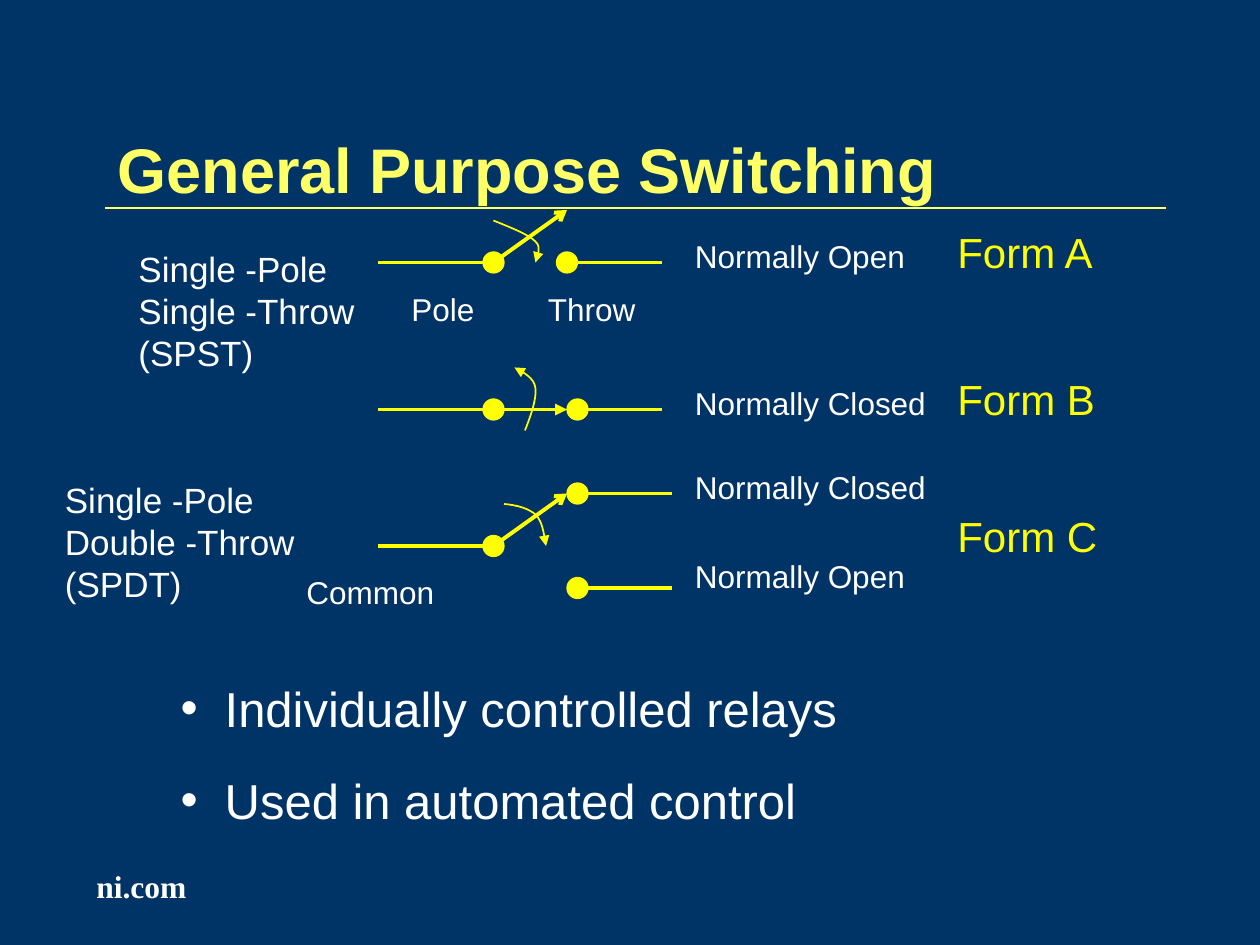
import pptx
import pptx.util
import pptx.dml.color
import pptx.enum.shapes
import pptx.enum.text
import pptx.oxml
import pptx.oxml.ns

YELLOW, PALE, WHITE, NAVY = "FFFF00", "FFFF66", "FFFFFF", "003366"
COLS, ROWS = 120, 90
NS = pptx.oxml.ns.nsdecls("a")


def unit(n):
    return pptx.util.Emu(round(n * 914400 / 12))


def tint(code):
    return pptx.dml.color.RGBColor.from_string(code)


def node(xml):
    return pptx.oxml.parse_xml(xml)


def place(shape, box):
    shape.left, shape.top, shape.width, shape.height = map(unit, box)


def write(shape, words, size=18, color=WHITE, font="Arial", bold=False,
          shade=False, bullet=False, gap=0, wrap=True, anchor="TOP"):
    frame = shape.text_frame
    frame.word_wrap = wrap
    frame.auto_size = pptx.enum.text.MSO_AUTO_SIZE.NONE
    frame.vertical_anchor = getattr(pptx.enum.text.MSO_ANCHOR, anchor)
    for i, line in enumerate(words.split("\n")):
        para = frame.paragraphs[0] if i == 0 else frame.add_paragraph()
        para.alignment = pptx.enum.text.PP_ALIGN.LEFT
        para.space_before = pptx.util.Pt(gap if i else 0)
        if bullet:
            props = para._p.get_or_add_pPr()
            props.set("marL", str(unit(4.2)))
            props.set("indent", str(unit(-4.2)))
            props.append(node(f'<a:buClr {NS}><a:srgbClr val="{color}"/></a:buClr>'))
            props.append(node(f'<a:buChar {NS} char="•"/>'))
        run = para.add_run()
        run.text = line
        run.font.size = pptx.util.Pt(size)
        run.font.bold = bold
        run.font.color.rgb = tint(color)
        if shade:
            run._r.get_or_add_rPr().append(node(
                f'<a:effectLst {NS}><a:outerShdw dist="25400" dir="2700000">'
                '<a:srgbClr val="000000"/></a:outerShdw></a:effectLst>'))
        run.font.name = font


def label(slide, words, box, **style):
    shape = slide.shapes.add_textbox(*map(unit, box))
    write(shape, words, **style)


def stroke(shape, color, width, tip):
    shape.line.color.rgb = tint(color)
    shape.line.width = pptx.util.Pt(width)
    props = shape._element.spPr
    if tip:
        edge = props.find(pptx.oxml.ns.qn("a:ln"))
        edge.append(node(f'<a:tailEnd {NS} type="{tip}"/>'))
    props.append(node(f"<a:effectLst {NS}/>"))


def wire(slide, start, end, color=YELLOW, width=2.25, tip=None):
    kind = pptx.enum.shapes.MSO_CONNECTOR.STRAIGHT
    line = slide.shapes.add_connector(kind, *map(unit, start + end))
    stroke(line, color, width, tip)


def dot(slide, x, y):
    kind = pptx.enum.shapes.MSO_SHAPE.OVAL
    disc = slide.shapes.add_shape(kind, *map(unit, (x - 1, y - 1, 2, 2)))
    disc.shadow.inherit = False
    disc.fill.solid()
    disc.fill.fore_color.rgb = tint(YELLOW)
    disc.line.color.rgb = tint(YELLOW)
    disc.line.width = pptx.util.Pt(0.75)


def bend(a, b, c, d, steps=8):
    for i in range(1, steps + 1):
        t = i / steps
        s = 1 - t
        yield tuple(s**3 * p + 3 * s * s * t * q + 3 * s * t * t * r + t**3 * e
                    for p, q, r, e in zip(a, b, c, d))


def swing(slide, points):
    pen = slide.shapes.build_freeform(*map(unit, points[0]))
    track = [*bend(*points[:4]), *bend(*points[3:])]
    pen.add_line_segments([tuple(map(unit, p)) for p in track], close=False)
    curve = pen.convert_to_shape()
    curve.fill.background()
    stroke(curve, YELLOW, 1, "triangle")


def switch(slide, x, y, form, lift, tip, throws, arc):
    pole = (x + 11, y)
    wire(slide, (x, y), pole)
    wire(slide, pole, (x + 18, y - lift), tip=tip)
    dot(slide, *pole)
    for words, spot, start, drop, text in throws:
        wire(slide, (x + start, y + drop), (x + start + 9, y + drop))
        dot(slide, x + spot, y + drop)
        label(slide, words, (x + 29, y + text, 30, 4.8))
    swing(slide, [(x + dx, y + dy) for dx, dy in arc])
    label(slide, form, (x + 54, y - 4, 17, 6), size=24, color=YELLOW)


def heading(slide, box):
    left, top, width, height = box
    place(slide.shapes.title, box)
    write(slide.shapes.title, "General Purpose Switching", size=36, color=PALE,
          bold=True, shade=True, anchor="MIDDLE")
    base = top + height - 2.2
    wire(slide, (left, base), (left + width + 1, base), color=PALE, width=1)


def points(slide, box):
    body = slide.placeholders[1]
    place(body, box)
    write(body, "Individually controlled relays\nUsed in automated control",
          size=28, bullet=True, gap=19)


def footer(slide, box):
    label(slide, "ni.com", box, font="Times New Roman", bold=True,
          shade=True, wrap=False)


def diagram(slide, x):
    switch(slide, x, 25, "Form A", 5, "arrow",
           [("Normally Open", 18, 18, 0, -3)],
           [(11, -4), (12.7, -3.3), (14.3, -2.7), (15, -2),
            (15.7, -1.4), (15, -0.3), (15, 0)])
    switch(slide, x, 39, "Form B", 0, "triangle",
           [("Normally Closed", 19, 18, 0, -3)],
           [(14, 2), (14.6, 0.5), (15.1, -1), (15, -2),
            (14.9, -3), (13.9, -3.5), (13, -4)])
    switch(slide, x, 52, "Form C", 5, "arrow",
           [("Normally Closed", 19, 19, -5, -8),
            ("Normally Open", 19, 19, 4, 0.5)],
           [(12, -4), (13.2, -3.9), (14.3, -3.6), (15, -3),
            (15.7, -2.3), (15.8, -1.1), (16, 0)])
    for words, dx, y, width in (("Pole", 2, 27, 9), ("Throw", 15, 27, 12),
                                ("Common", -8, 54, 15)):
        label(slide, words, (x + dx, y, width, 4.8))
    for words, dx, y in (("Single -Pole Single -Throw (SPST)", -24, 23),
                         ("Single -Pole Double -Throw (SPDT)", -31, 45)):
        label(slide, words, (x + dx, y, 27, 13.2), size=20)


def main():
    deck = pptx.Presentation()
    deck.slide_width, deck.slide_height = unit(COLS), unit(ROWS)
    slide = deck.slides.add_slide(deck.slide_layouts[1])
    slide.background.fill.solid()
    slide.background.fill.fore_color.rgb = tint(NAVY)
    heading(slide, (10, 10, 100, 12))
    diagram(slide, 36)
    points(slide, (16, 64, 75, 15.4))
    footer(slide, (8, 82, 11, 4.8))
    deck.save("out.pptx")


if __name__ == "__main__":
    main()
